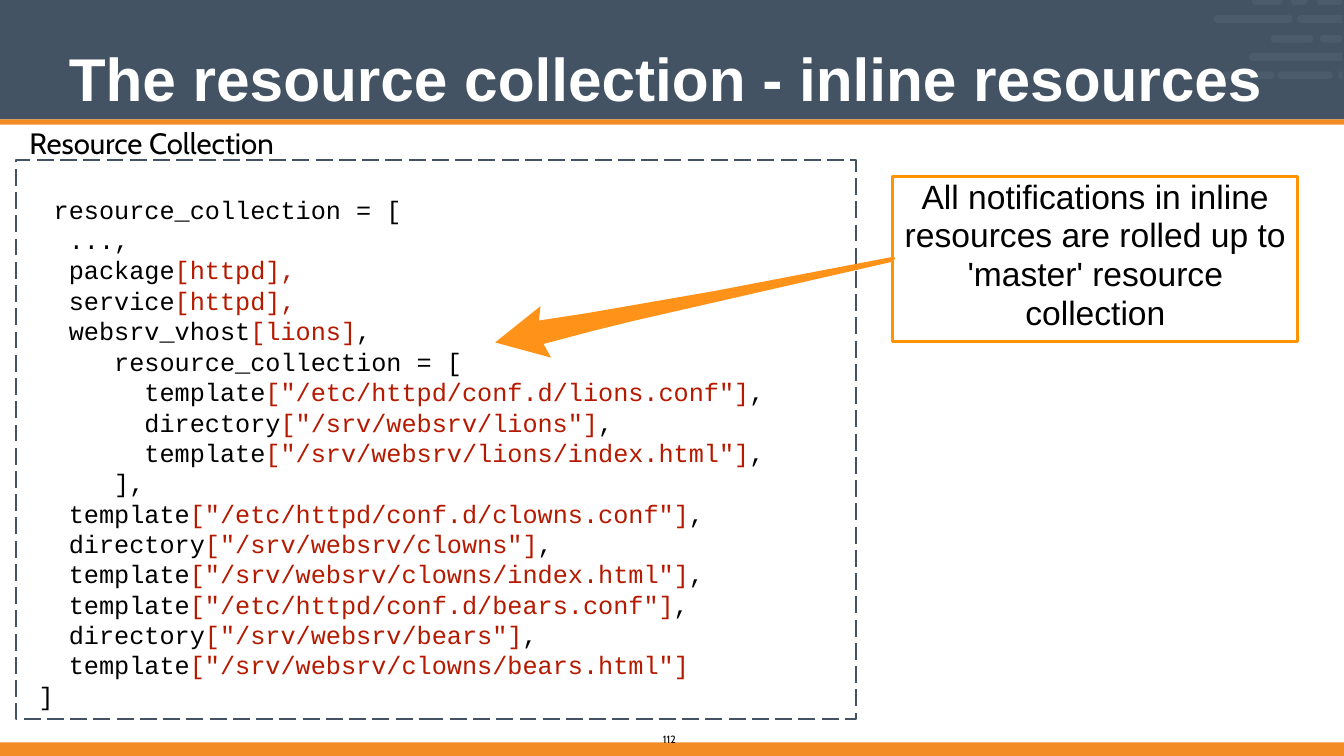
import math

import pptx
import pptx.dml.color
import pptx.enum.dml
import pptx.enum.shapes
import pptx.enum.text
import pptx.util

Pt = pptx.util.Pt
RGBColor = pptx.dml.color.RGBColor
ALIGN = pptx.enum.text.PP_ALIGN

SLATE = RGBColor(0x43, 0x53, 0x63)
DASH = RGBColor(0x4B, 0x5B, 0x6B)
ORANGE = RGBColor(0xF3, 0x8C, 0x24)
CALLOUT = RGBColor(0xFF, 0x93, 0x00)
ARROW = RGBColor(0xFF, 0x93, 0x19)
RED = RGBColor(0xB5, 0x1A, 0x00)
BLACK = RGBColor(0, 0, 0)
WHITE = RGBColor(0xFF, 0xFF, 0xFF)

WIDTH, HEIGHT = 1280.16, 720
CODE_PITCH = 28.9
CODE_CHARACTER = 14.4

# Rows of dashes: top, height, rounded corners, then (left, width) pairs
HEADER_DASHES = [
    (0, 5, "bottom", [(1192.3, 29.5), (1229.8, 15.1), (1254.2, 24.5)]),
    (14.4, 7.5, "all", [(1155.6, 75.6)]),
    (14.4, 7.5, "left", [(1235.5, 43.2)]),
    (33.1, 7.5, "all", [(1210.3, 40.7), (1257.1, 21.6)]),
    (50.4, 7.5, "left", [(1189.4, 89.3)]),
    (67.9, 7.5, "all", [(1164.2, 49.7), (1216.8, 52.6)]),
    (67.9, 7.5, "left", [(1275.1, 3.6)]),
]
# Corners in order: top left, top right, bottom right, bottom left
ROUNDED = {"all": (1, 1, 1, 1), "left": (1, 0, 0, 1), "bottom": (0, 0, 1, 1)}

# Code blocks: left, top, width, lines of (indent, name, argument, tail)
CODE_BLOCKS = [
    (36.1, 32, 333, [
        (0, "resource_collection = [", "", ""),
        (1, "...,", "", ""),
        (1, "package", "[httpd],", ""),
        (1, "service", "[httpd],", ""),
    ]),
    (50.5, 148, 664, [
        (0, "websrv_vhost", "[lions]", ","),
        (3, "resource_collection = [", "", ""),
        (5, "template", '["/etc/httpd/conf.d/lions.conf"]', ","),
        (5, "directory", '["/srv/websrv/lions"]', ","),
        (5, "template", '["/srv/websrv/lions/index.html"]', ","),
    ]),
    (21.7, 292.6, 636, [
        (5, "],", "", ""),
        (2, "template", '["/etc/httpd/conf.d/clowns.conf"]', ","),
        (2, "directory", '["/srv/websrv/clowns"]', ","),
        (2, "template", '["/srv/websrv/clowns/index.html"]', ","),
        (2, "template", '["/etc/httpd/conf.d/bears.conf"]', ","),
        (2, "directory", '["/srv/websrv/bears"]', ","),
        (2, "template", '["/srv/websrv/clowns/bears.html"]', ""),
        (0, "]", "", ""),
    ]),
]

ARROW_POINTS = [
    (43.2, 46.8), (41.8, 60.5), (88.6, 53.3), (208.8, 32.4), (378, 0),
    (380.2, 0), (380.9, 1.4), (379.4, 4.3), (133.2, 60.5), (92.2, 70.6),
    (46.1, 82.8), (53.3, 95.8), (0, 81.4),
]


def write_text(paragraph, text, *, font="Arial", size=24, color=BLACK, bold=False):
    """Add a formatted run to a paragraph."""
    run = paragraph.add_run()
    run.text = text
    run.font.name = font
    run.font.size = Pt(size)
    run.font.bold = bold
    run.font.color.rgb = color


def prepare_frame(shape, left=0, top=0):
    """Set the insets of a shape's text, anchor it at the top and return it."""
    frame = shape.text_frame
    frame.word_wrap = True
    frame.auto_size = pptx.enum.text.MSO_AUTO_SIZE.NONE
    frame.vertical_anchor = pptx.enum.text.MSO_ANCHOR.TOP
    frame.margin_left, frame.margin_top = Pt(left), Pt(top)
    frame.margin_right = frame.margin_bottom = 0
    return frame


def add_text_box(slide, left, top, width, height):
    """Add a text box without insets and return its text frame."""
    box = slide.shapes.add_textbox(Pt(left), Pt(top), Pt(width), Pt(height))
    return prepare_frame(box)


def paint(shape, fill=None, line=None, weight=1):
    """Set fill and line of a shape and remove its shadow."""
    shape.shadow.inherit = False
    if fill is None:
        shape.fill.background()
    else:
        shape.fill.solid()
        shape.fill.fore_color.rgb = fill
    if line is None:
        shape.line.fill.background()
    else:
        shape.line.color.rgb = line
        shape.line.width = Pt(weight)
    return shape


def add_rectangle(slide, left, top, width, height, **style):
    """Add a painted rectangle."""
    kind = pptx.enum.shapes.MSO_SHAPE.RECTANGLE
    shape = slide.shapes.add_shape(kind, Pt(left), Pt(top), Pt(width), Pt(height))
    return paint(shape, **style)


def add_outline(slide, left, top, points, fill):
    """Add a filled closed outline with points relative to left and top."""
    places = [(100 * (left + x), 100 * (top + y)) for x, y in points]
    builder = slide.shapes.build_freeform(*places[0], scale=Pt(1) / 100)
    builder.add_line_segments(places[1:], close=True)
    return paint(builder.convert_to_shape(), fill=fill)


def dash_points(width, height, corners):
    """Return the outline of a dash whose chosen corners are rounded."""
    radius = min(3.7, width / 2)
    points = []
    for index, rounded in enumerate(ROUNDED[corners]):
        right, bottom = index in (1, 2), index in (2, 3)
        if not rounded:
            points.append((width * right, height * bottom))
            continue
        center_x = width - radius if right else radius
        center_y = height - radius if bottom else radius
        for step in range(4):
            angle = math.radians(180 + 90 * index + 30 * step)
            points.append((center_x + radius * math.cos(angle),
                           center_y + radius * math.sin(angle)))
    return points


def build_header(slide, left, top, width, height):
    """Place the title band, its dashes, the orange rule and the title."""
    add_rectangle(slide, left, top, width, height, fill=SLATE)
    for dash_top, dash_height, corners, dashes in HEADER_DASHES:
        for dash_left, dash_width in dashes:
            points = dash_points(dash_width, dash_height, corners)
            add_outline(slide, left + dash_left, top + dash_top, points, DASH)
    add_rectangle(slide, left, top + height, width, 5, fill=ORANGE)

    title = slide.shapes.title
    title.element.getparent().append(title.element)
    title.left, title.top = Pt(left + 64.8), Pt(top + 23.8)
    title.width, title.height = Pt(1150), Pt(74.2)
    paragraph = prepare_frame(title, left=0.7, top=15).paragraphs[0]
    paragraph.alignment = ALIGN.LEFT
    write_text(paragraph, "The resource collection - inline resources",
               size=57.5, color=WHITE, bold=True)


def build_collection(slide, left, top, width, height):
    """Place the dashed frame, its label and the code blocks."""
    frame = add_rectangle(slide, left, top, width, height, line=SLATE, weight=2)
    frame.line.dash_style = pptx.enum.dml.MSO_LINE.LONG_DASH
    label = add_text_box(slide, left + 13, top - 33.1, 235, 30)
    write_text(label.paragraphs[0], "Resource Collection", font="Cabin", size=28)
    for block_left, block_top, block_width, lines in CODE_BLOCKS:
        block = add_text_box(slide, left + block_left, top + block_top,
                             block_width, CODE_PITCH * len(lines))
        for index, (indent, *parts) in enumerate(lines):
            paragraph = block.add_paragraph() if index else block.paragraphs[0]
            paragraph.line_spacing = Pt(CODE_PITCH)
            properties = paragraph._p.get_or_add_pPr()
            properties.set("marL", str(Pt(indent * CODE_CHARACTER)))
            properties.set("indent", "0")
            for text, color in zip(parts, (BLACK, RED, BLACK)):
                if text:
                    write_text(paragraph, text, font="Courier New", color=color)


def build_callout(slide, left, top, width, height):
    """Place the note and the arrow that leads from it to the code."""
    note = add_rectangle(slide, left, top, width, height, line=CALLOUT, weight=3)
    paragraph = prepare_frame(note, left=1).paragraphs[0]
    paragraph.alignment = ALIGN.CENTER
    paragraph.line_spacing = Pt(37)
    write_text(paragraph, "All notifications in inline resources are rolled up to "
               "'master' resource collection", size=32)
    add_outline(slide, left - 378.7, top + 76.3, ARROW_POINTS, ARROW)


def build_footer(slide, left, top, width, height):
    """Place the bottom band and the page number."""
    add_rectangle(slide, left, top, width, height, fill=ORANGE)
    number = add_text_box(slide, left + 631.4, top - 9.3, 18.7, 12.2)
    write_text(number.paragraphs[0], "112", font="Cabin", size=10)


def main():
    """Build the slide and save the presentation."""
    presentation = pptx.Presentation()
    presentation.slide_width, presentation.slide_height = Pt(WIDTH), Pt(HEIGHT)
    slide = presentation.slides.add_slide(presentation.slide_layouts[5])
    build_header(slide, 0, 0, WIDTH, 113.8)
    build_collection(slide, 15.1, 152.6, 800, 532)
    build_callout(slide, 850.3, 168.5, 385.2, 157)
    build_footer(slide, 0, 707, WIDTH, 13)
    presentation.save("out.pptx")


main()
